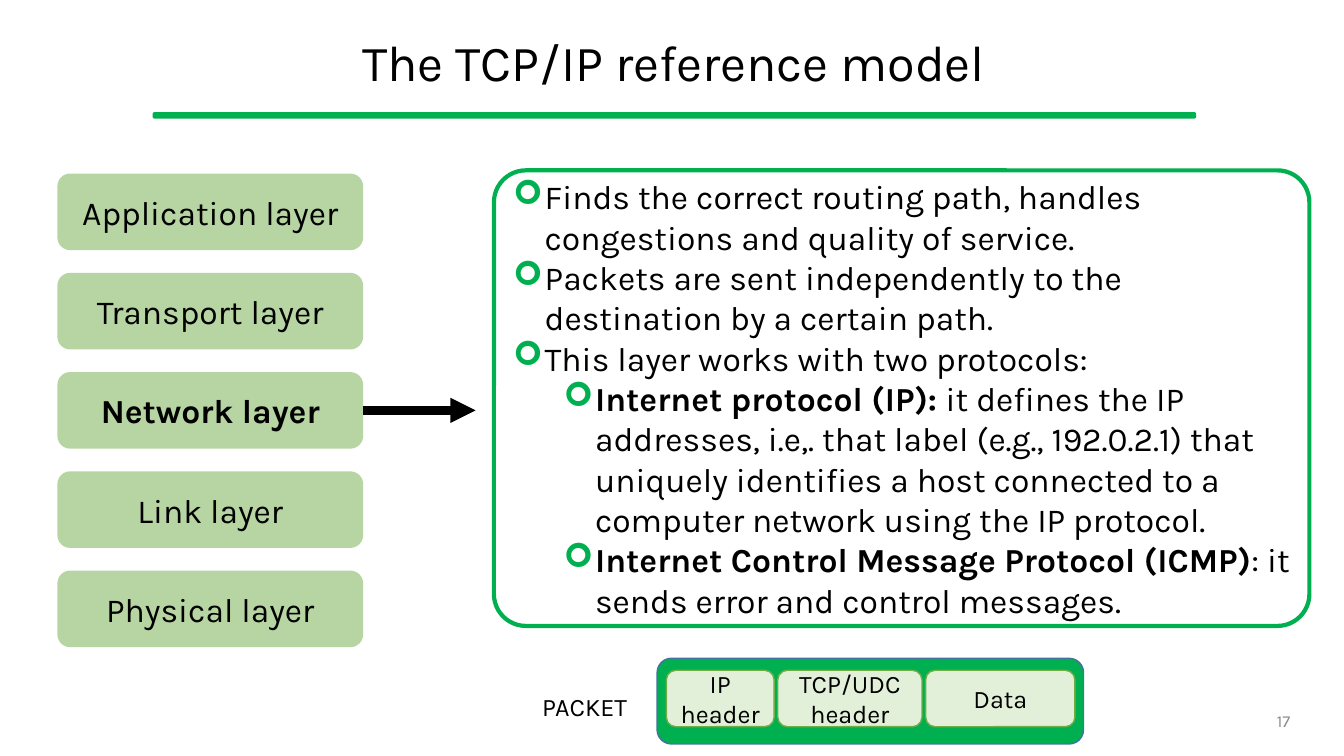
"""Build the slide on the network layer of the TCP/IP reference model."""
from dataclasses import dataclass

from lxml.etree import SubElement
from pptx import Presentation
from pptx.dml.color import RGBColor
from pptx.enum.shapes import MSO_CONNECTOR, MSO_SHAPE
from pptx.enum.text import MSO_ANCHOR, PP_ALIGN
from pptx.oxml.ns import qn
from pptx.util import Pt


@dataclass(frozen=True)
class Theme:
    font: str = "Karla"
    black: str = "000000"
    white: str = "FFFFFF"
    green: str = "00B050"
    leaf: str = "70AD47"
    pale: str = "E2F0D9"
    edge: str = "43739E"
    gray: str = "8C8C8C"
    title: int = 36
    body: int = 24
    label: int = 18
    number: int = 12


theme = Theme()
deck = Presentation()
deck.slide_width, deck.slide_height = Pt(960), Pt(540)
slide = deck.slides.add_slide(deck.slide_layouts[6])
shapes = slide.shapes


def block(left, top, width, height, fill, line=None, weight=1):
    """Add a rounded box, without an outline if no line colour is given."""
    box = shapes.add_shape(MSO_SHAPE.ROUNDED_RECTANGLE, Pt(left), Pt(top), Pt(width), Pt(height))
    box.shadow.inherit = False
    box.fill.solid()
    box.fill.fore_color.rgb = RGBColor.from_string(fill)
    if line:
        box.line.color.rgb = RGBColor.from_string(line)
        box.line.width = Pt(weight)
    else:
        box.line.fill.background()
    return box


def write(box, text, size, color=theme.black, align=PP_ALIGN.CENTER, bold=False):
    """Put one formatted paragraph in a box, centred from top to bottom."""
    frame = box.text_frame
    frame.word_wrap = True
    frame.vertical_anchor = MSO_ANCHOR.MIDDLE
    frame.text = text
    para = frame.paragraphs[0]
    para.alignment = align
    font = para.runs[0].font
    font.name, font.size, font.bold = theme.font, Pt(size), bold
    font.color.rgb = RGBColor.from_string(color)
    return para


rule = block(109.5, 80.6, 744.5, 3.6, theme.green, theme.green)
rule.adjustments[0] = 0.26
title = shapes.add_textbox(Pt(33.8), Pt(13), Pt(895), Pt(67.7))
write(title, "The TCP/IP reference model", theme.title).line_spacing = 0.9
number = shapes.add_textbox(Pt(678.2), Pt(500.4), Pt(250.6), Pt(28.8))
write(number, "17", theme.number, theme.gray, PP_ALIGN.RIGHT)

panel = block(352.8, 121.7, 582.5, 325.4, theme.white, theme.green, 3)
panel.adjustments[0] = 0.07
points = [
    (0, "", "Finds the correct routing path, handles congestions and quality of service."),
    (0, "", "Packets are sent independently to the destination by a certain path."),
    (0, "", "This layer works with two protocols:"),
    (1, "Internet protocol (IP): ", "it defines the IP addresses, i.e,. that label (e.g., 192.0.2.1) "
     "that uniquely identifies a host connected to a computer network using the IP protocol."),
    (1, "Internet Control Message Protocol (ICMP)", ": it sends error and control messages."),
]
frame = panel.text_frame
frame.word_wrap = True
frame.vertical_anchor = MSO_ANCHOR.MIDDLE
for index, (level, term, text) in enumerate(points):
    para = frame.add_paragraph() if index else frame.paragraphs[0]
    para.level = level
    para.alignment = PP_ALIGN.LEFT
    props = para._p.get_or_add_pPr()
    props.set("marL", str(Pt(22.5 + 36 * level)))
    props.set("indent", str(-Pt(22.5)))
    SubElement(SubElement(props, qn("a:buClr")), qn("a:srgbClr"), val=theme.green)
    SubElement(props, qn("a:buFont"), typeface="Wingdings")
    SubElement(props, qn("a:buChar"), char="➢")
    for part, bold in ((term, True), (text, False)):
        if part:
            run = para.add_run()
            run.text = part
            run.font.name, run.font.size, run.font.bold = theme.font, Pt(theme.body), bold
            run.font.color.rgb = RGBColor.from_string(theme.black)

layers = {}
for row, name in enumerate(("Application", "Transport", "Network", "Link", "Physical")):
    layer = block(41, 124 + 70.9 * row, 218.4, 54.7, theme.leaf)
    tint = layer.fill._xPr.find(".//" + qn("a:srgbClr"))
    SubElement(tint, qn("a:alpha"), val="50000")
    write(layer, f"{name} layer", theme.body, bold=name == "Network")
    layers[name] = layer

arrow = shapes.add_connector(MSO_CONNECTOR.STRAIGHT, Pt(259.4), Pt(293.15), Pt(339.8), Pt(293.15))
arrow.begin_connect(layers["Network"], 3)
arrow.line.color.rgb = RGBColor.from_string(theme.black)
arrow.line.width = Pt(6)
SubElement(arrow.line._get_or_add_ln(), qn("a:tailEnd"), type="triangle")
SubElement(arrow._element.spPr, qn("a:effectLst"))

block(469.4, 470.2, 304.6, 61.2, theme.green, theme.edge)
left = 476
for text, width in (("IP header", 77), ("TCP/UDC header", 103), ("Data", 106.6)):
    write(block(left, 478.8, width, 40.3, theme.pale, theme.leaf), text, theme.label)
    left += width + 2.6
packet = shapes.add_textbox(Pt(380.2), Pt(490.3), Pt(112.3), Pt(28.8))
write(packet, "PACKET", theme.label, align=PP_ALIGN.LEFT)

deck.save("out.pptx")
